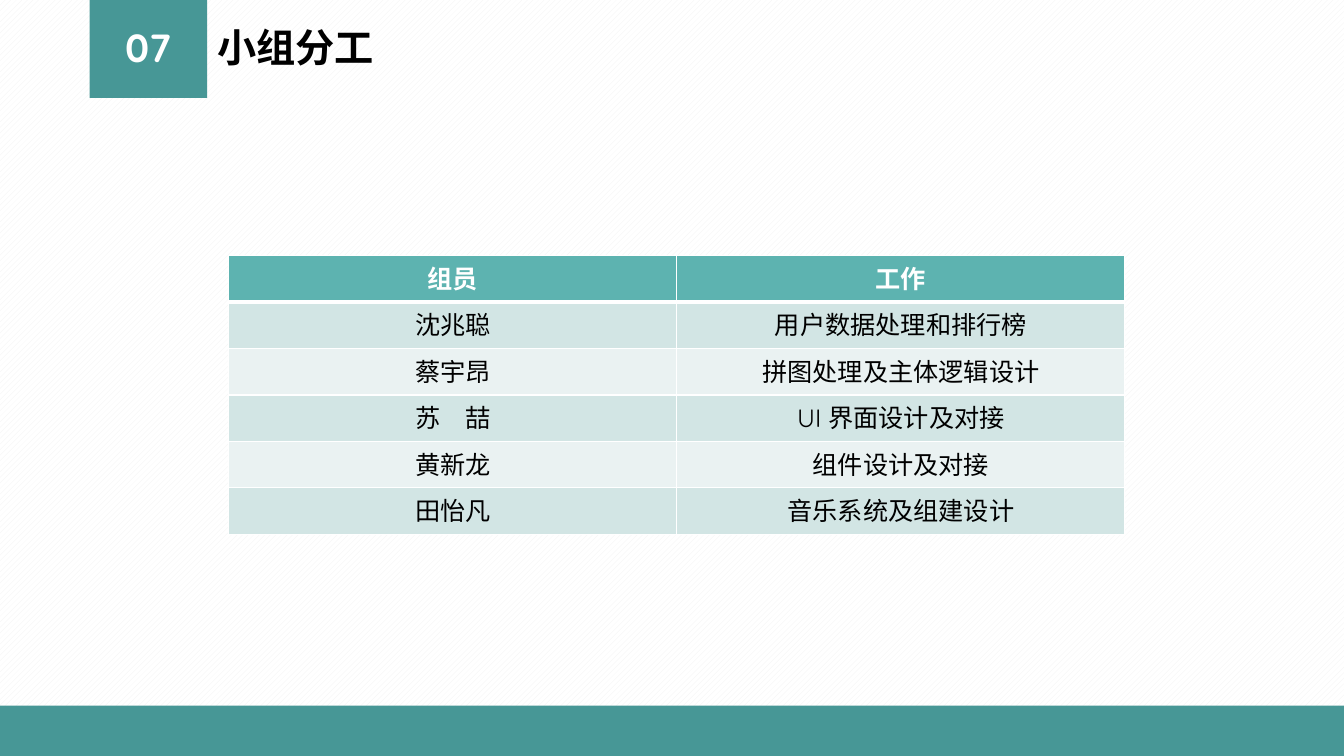
"""Builds the team roles slide with a numbered title and a task table."""
from lxml.etree import SubElement
from pptx import Presentation
from pptx.dml.color import RGBColor
from pptx.enum.dml import MSO_PATTERN
from pptx.enum.shapes import MSO_SHAPE
from pptx.enum.text import MSO_ANCHOR, PP_ALIGN
from pptx.oxml.ns import qn
from pptx.util import Pt

FONT = "Quicksand"
COLORS = {
    "teal": "479796",
    "header": "5DB3B0",
    "odd_row": "D2E5E4",
    "even_row": "EAF2F2",
    "stripe": "F2F2F2",
    "white": "FFFFFF",
    "black": "000000",
}
ROLES = [
    ("组员", "工作"),
    ("沈兆聪", "用户数据处理和排行榜"),
    ("蔡宇昂", "拼图处理及主体逻辑设计"),
    ("苏　喆", "UI 界面设计及对接"),
    ("黄新龙", "组件设计及对接"),
    ("田怡凡", "音乐系统及组建设计"),
]
TILE_LEFT, TILE_WIDTH = 64, 84
HEADING_TOP, HEADING_HEIGHT = 16.6, 33.8


def color(name):
    return RGBColor.from_string(COLORS[name])


def write_text(frame, text, size=18, fill="black", bold=False,
               align=PP_ALIGN.CENTER, line_spacing=None):
    frame.word_wrap = True
    paragraph = frame.paragraphs[0]
    paragraph.alignment = align
    paragraph.line_spacing = line_spacing
    run = paragraph.add_run()
    run.text = text
    run.font.name = FONT
    run.font.size = Pt(size)
    run.font.bold = bold
    run.font.color.rgb = color(fill)
    SubElement(run.font._element, qn("a:ea"), typeface=FONT)


def write_heading(frame, text, **style):
    frame.vertical_anchor = MSO_ANCHOR.TOP
    write_text(frame, text, size=28, bold=True, line_spacing=0.9, **style)


def add_block(slide, left, top, width, height):
    block = slide.shapes.add_shape(
        MSO_SHAPE.RECTANGLE, Pt(left), Pt(top), Pt(width), Pt(height))
    block.shadow.inherit = False
    block.fill.solid()
    block.fill.fore_color.rgb = color("teal")
    block.line.fill.background()


def add_number(slide, number):
    box = slide.shapes.add_textbox(
        Pt(TILE_LEFT), Pt(HEADING_TOP), Pt(TILE_WIDTH), Pt(HEADING_HEIGHT))
    write_heading(box.text_frame, number, fill="white")


def place_title(slide, text):
    title = slide.shapes.title
    title.left, title.top = Pt(TILE_LEFT + TILE_WIDTH), Pt(HEADING_TOP)
    title.width, title.height = Pt(374), Pt(HEADING_HEIGHT)
    write_heading(title.text_frame, text, align=PP_ALIGN.LEFT)


def set_borders(cell, top=1, bottom=1):
    properties = cell._tc.get_or_add_tcPr()
    for side, width in (("L", 1), ("R", 1), ("T", top), ("B", bottom)):
        border = SubElement(properties, qn(f"a:ln{side}"), w=str(Pt(width)))
        paint = SubElement(border, qn("a:solidFill"))
        SubElement(paint, qn("a:srgbClr"), val=COLORS["white"])


def add_roles_table(slide, left, top, width, row_height):
    table = slide.shapes.add_table(
        len(ROLES), 2, Pt(left), Pt(top), Pt(width),
        Pt(row_height * len(ROLES))).table
    for index, role in enumerate(ROLES):
        header = index == 0
        band = "header" if header else "odd_row" if index % 2 else "even_row"
        for column, text in enumerate(role):
            cell = table.cell(index, column)
            set_borders(cell, top=3 if index == 1 else 1,
                        bottom=3 if header else 1)
            cell.fill.solid()
            cell.fill.fore_color.rgb = color(band)
            cell.vertical_anchor = MSO_ANCHOR.MIDDLE
            write_text(cell.text_frame, text, bold=header,
                       fill="white" if header else "black")


def paint_background(slide):
    fill = slide.background.fill
    fill.patterned()
    fill.pattern = MSO_PATTERN.WIDE_UPWARD_DIAGONAL
    fill.fore_color.rgb = color("stripe")
    fill.back_color.rgb = color("white")


def main():
    deck = Presentation()
    deck.slide_width, deck.slide_height = Pt(960), Pt(540)
    slide = deck.slides.add_slide(deck.slide_layouts[5])
    paint_background(slide)
    add_block(slide, TILE_LEFT, 0, TILE_WIDTH, 70)
    add_block(slide, 0, 504, 960, 36)
    add_number(slide, "07")
    place_title(slide, "小组分工")
    add_roles_table(slide, left=163.5, top=182.5, width=640, row_height=33.2)
    deck.save("out.pptx")


if __name__ == "__main__":
    main()
